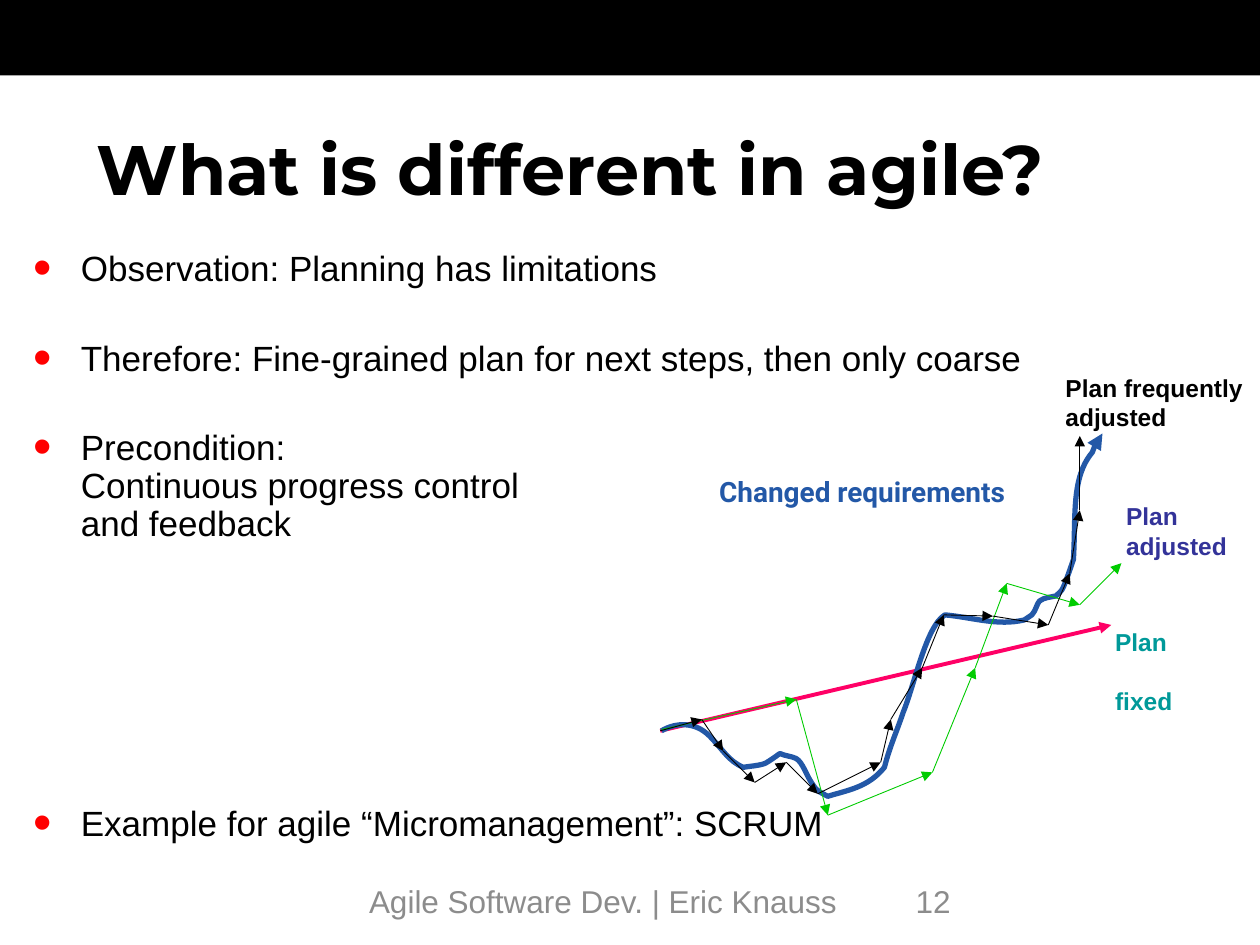
from dataclasses import dataclass
from itertools import pairwise

from lxml.etree import SubElement
from pptx import Presentation
from pptx.dml.color import RGBColor
from pptx.enum.shapes import MSO_CONNECTOR as Connector, MSO_SHAPE as Shape
from pptx.enum.text import MSO_ANCHOR as Anchor, MSO_AUTO_SIZE as AutoSize, PP_ALIGN as Align
from pptx.oxml.ns import qn
from pptx.util import Cm, Pt


@dataclass(frozen=True)
class Theme:
    black: str = "000000"
    bullet: str = "FF0000"
    fixed_line: str = "FF0066"
    fixed_label: str = "009999"
    adjusted_line: str = "00CC00"
    adjusted_label: str = "333399"
    requirements: str = "2358A7"
    footer: str = "8C8C8C"
    title_size: int = 40
    body_size: int = 20
    footer_size: int = 18
    requirements_size: int = 16
    label_size: int = 14


theme = Theme()
GRID = Cm(0.0254)  # unit of the diagram coordinates


def add_text(left, top, width, height, text, size, color, bold=False, font="Arial", wrap=False):
    box = slide.shapes.add_textbox(Cm(left), Cm(top), Cm(width), Cm(height))
    frame = box.text_frame
    frame.text = text
    frame.word_wrap = wrap
    for paragraph in frame.paragraphs:
        paragraph.font.name = font
        paragraph.font.size = Pt(size)
        paragraph.font.bold = bold
        paragraph.font.color.rgb = RGBColor.from_string(color)
    return frame


def style_arrow(line, color, width):
    line.color.rgb = RGBColor.from_string(color)
    line.width = Pt(width)
    SubElement(line._get_or_add_ln(), qn("a:tailEnd"), type="triangle")


presentation = Presentation()
presentation.slide_width, presentation.slide_height = Cm(25.4), Cm(19.05)
slide = presentation.slides.add_slide(presentation.slide_layouts[5])

# Top bar and title
bar = slide.shapes.add_shape(Shape.RECTANGLE, 0, 0, Cm(25.4), Cm(1.52))
bar.shadow.inherit = False
bar.fill.solid()
bar.fill.fore_color.rgb = RGBColor.from_string(theme.black)
bar.line.fill.background()

title = slide.shapes.title
title.left, title.top, title.width, title.height = Cm(1.7), Cm(2.32), Cm(23.7), Cm(2.11)
title.text_frame.text = "What is different in agile?"
title.text_frame.auto_size = AutoSize.NONE
title.text_frame.vertical_anchor = Anchor.MIDDLE
heading = title.text_frame.paragraphs[0]
heading.alignment = Align.LEFT
heading.font.name = "Montserrat"
heading.font.size = Pt(theme.title_size)
heading.font.bold = True
heading.font.color.rgb = RGBColor.from_string(theme.black)

# Bullets: text and space before in points
bullets = [
    ("Observation: Planning has limitations", 0),
    ("Therefore: Fine-grained plan for next steps, then only coarse", 29.4),
    ("Precondition: \vContinuous progress control \vand feedback", 29.4),
    ("Example for agile “Micromanagement”: SCRUM", 149.7),
]
body = add_text(0.43, 4.93, 24.28, 12.78, "\n".join(text for text, _ in bullets),
                theme.body_size, theme.black, wrap=True)
for paragraph, (_, space_before) in zip(body.paragraphs, bullets):
    paragraph.line_spacing = Pt(21.7)
    paragraph.space_before = Pt(space_before)
    properties = paragraph._p.get_or_add_pPr()
    properties.set("marL", str(Cm(0.95)))
    properties.set("indent", str(Cm(-0.95)))
    defaults = properties.find(qn("a:defRPr"))
    properties.remove(defaults)
    bullet_color = SubElement(properties, qn("a:buClr"))
    SubElement(bullet_color, qn("a:srgbClr"), val=theme.bullet)
    SubElement(properties, qn("a:buSzPct"), val="150000")
    SubElement(properties, qn("a:buFont"), typeface="Arial")
    SubElement(properties, qn("a:buChar"), char="•")
    properties.append(defaults)

# Changed requirements: start point, then two controls and an end point per curve
start = (525, 580)
curves = [
    ((537, 573), (552, 573), (563, 584)),
    ((574, 595), (578, 604), (590, 609)),
    ((595, 608), (601, 608), (607, 606)),
    ((611, 604), (619, 598), (619, 598)),
    ((623, 600), (628, 600), (632, 602)),
    ((637, 605), (640, 615), (644, 621)),
    ((649, 629), (650, 628), (657, 632)),
    ((673, 627), (689, 625), (702, 609)),
    ((706, 593), (712, 580), (717, 565)),
    ((726, 543), (735, 497), (750, 488)),
    ((772, 490), (792, 497), (813, 492)),
    ((815, 490), (817, 490), (819, 488)),
    ((822, 485), (823, 479), (825, 477)),
    ((829, 474), (834, 474), (838, 473)),
    ((840, 471), (843, 469), (844, 466)),
    ((847, 459), (852, 444), (852, 444)),
    ((854, 410), (850, 379), (867, 359)),
    ((872, 346), (869, 350), (875, 344)),
]

# Plans: colour, line width and the corners of each route
fixed_plan = (theme.fixed_line, 2.25, [(524, 580), (882, 496)])
adjusted_plan = (theme.adjusted_line, 0.5, [
    (525, 579), (632, 555), (657, 647), (740, 613), (774, 530), (799, 463), (857, 480), (890, 447)])
frequent_plan = (theme.black, 0.5, [
    (524, 580), (557, 571), (574, 596), (599, 621), (624, 605), (649, 630), (699, 605), (707, 571),
    (732, 530), (749, 488), (788, 489), (832, 496), (849, 455), (857, 405), (857, 346)])

for color, width, route in (fixed_plan, adjusted_plan, frequent_plan):
    if route is adjusted_plan[2]:  # the curve lies above the fixed plan only
        builder = slide.shapes.build_freeform(*start, scale=GRID)
        builder.add_line_segments([end for _, _, end in curves], close=False)
        curve = builder.convert_to_shape()
        curve.shadow.inherit = False
        curve.fill.background()
        style_arrow(curve.line, theme.requirements, 3)
        left, top = round(curve.left / GRID), round(curve.top / GRID)
        segments = list(curve._element.iter(qn("a:lnTo")))
        for segment, (first, second, _) in zip(segments, curves):
            segment_curve = segment.makeelement(qn("a:cubicBezTo"))
            for x, y in (first, second):
                SubElement(segment_curve, qn("a:pt"), x=str(x - left), y=str(y - top))
            segment_curve.append(segment[0])
            segment.getparent().replace(segment, segment_curve)
    for (x1, y1), (x2, y2) in pairwise(route):
        arrow = slide.shapes.add_connector(Connector.STRAIGHT, x1 * GRID, y1 * GRID, x2 * GRID, y2 * GRID)
        style_arrow(arrow.line, color, width)
        SubElement(arrow._element.spPr, qn("a:effectLst"))

# Diagram labels
fixed_label = add_text(22.23, 12.52, 1.68, 1.45, "Plan \nfixed",
                       theme.label_size, theme.fixed_label, bold=True)
fixed_label.paragraphs[1].space_before = Pt(17)
add_text(22.45, 9.98, 2.57, 1.45, "Plan\vadjusted", theme.label_size, theme.adjusted_label, bold=True)
add_text(21.23, 7.39, 4.11, 1.45, "Plan frequently\vadjusted", theme.label_size, theme.black, bold=True)
requirements_label = add_text(14.25, 9.43, 6.73, 0.94, "Changed requirements",
                              theme.requirements_size, theme.requirements, bold=True, font="Roboto")
requirements_label.vertical_anchor = Anchor.MIDDLE

# Footer
add_text(7.19, 17.65, 11, 1.02, "Agile Software Dev. | Eric Knauss",
         theme.footer_size, theme.footer, wrap=True)
add_text(18.21, 17.65, 5.92, 1.02, "12", theme.footer_size, theme.footer, wrap=True)

presentation.save("out.pptx")
